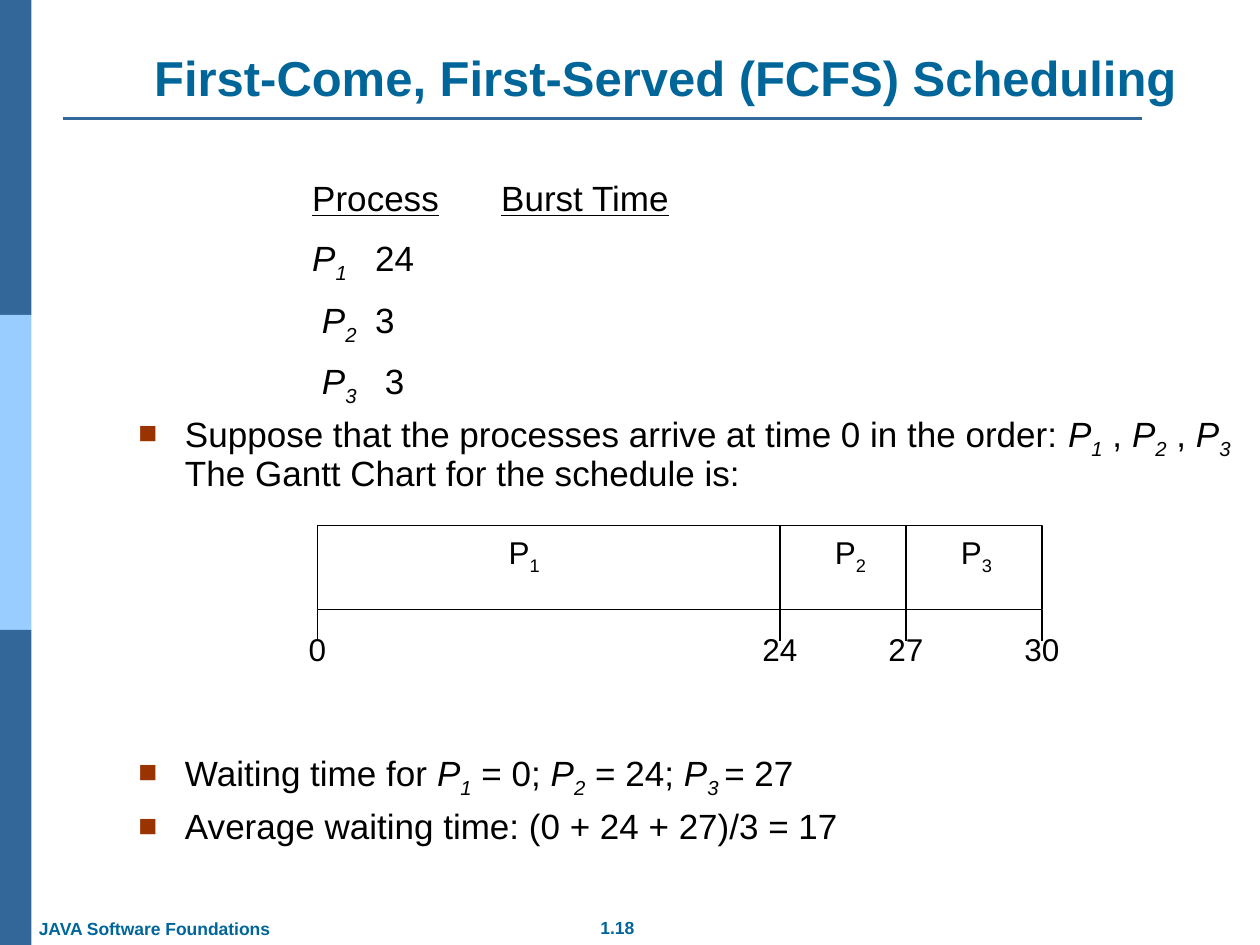
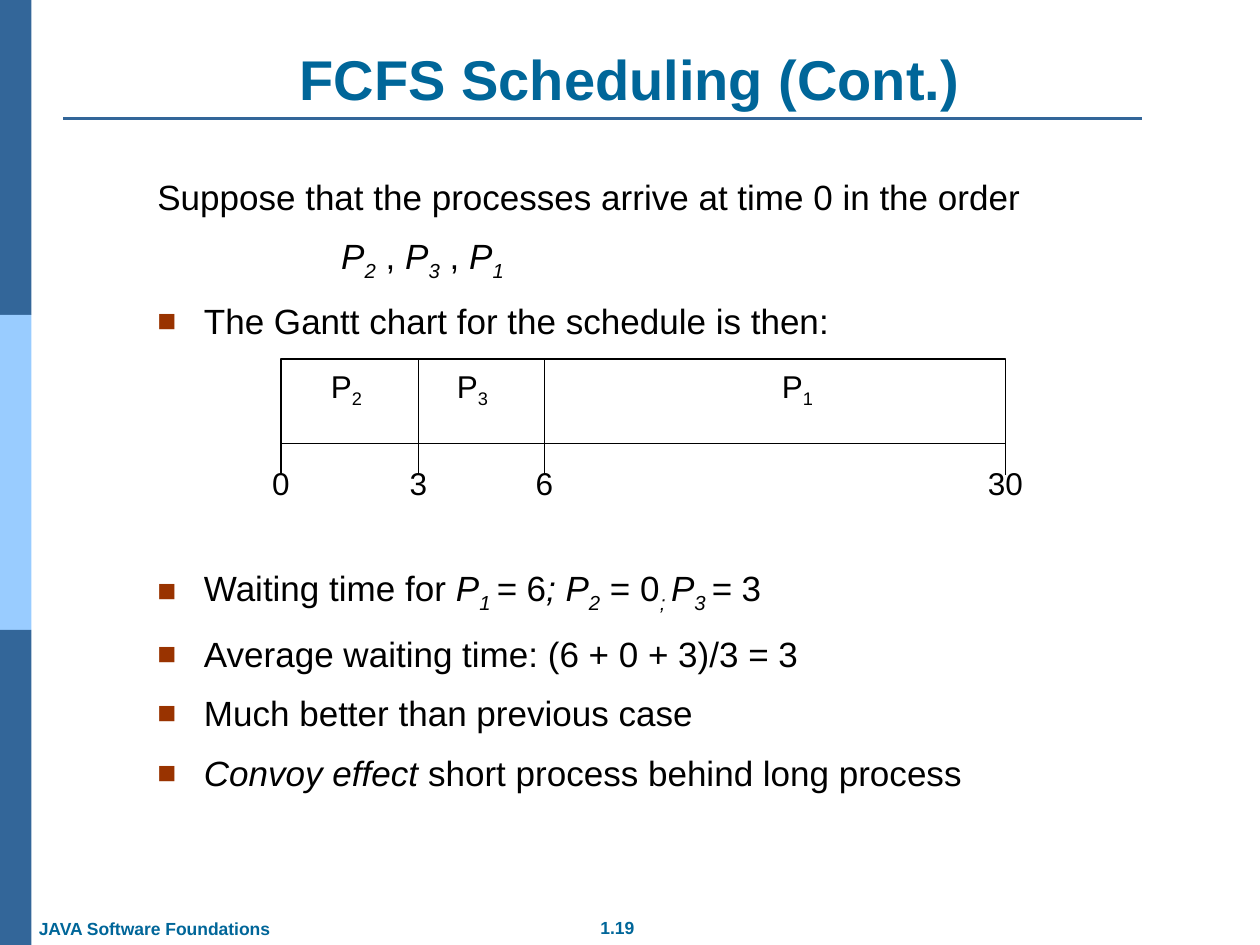
import pptx
import pptx.dml.color
import pptx.enum.shapes
import pptx.enum.text
import pptx.oxml.ns
import pptx.util
from lxml import etree

RGBColor = pptx.dml.color.RGBColor
ALIGN = pptx.enum.text.PP_ALIGN
ANCHOR = pptx.enum.text.MSO_ANCHOR
inch = pptx.util.Inches
pt = pptx.util.Pt
qn = pptx.oxml.ns.qn

BAND_DARK = RGBColor(0x33, 0x66, 0x99)
BAND_LIGHT = RGBColor(0x99, 0xCC, 0xFF)
HEADING = RGBColor(0x00, 0x66, 0x99)
BULLET = RGBColor(0x99, 0x33, 0x00)
BLACK = RGBColor(0, 0, 0)
WHITE = RGBColor(255, 255, 255)

WIDTH, HEIGHT = 10, 7.5
FOOTER = "JAVA Software Foundations"
HANG = 0.37
BAR_H, TICK_H, LABEL_W = 0.67, 0.25, 0.6


def var(n, tail=""):
    """Runs for an italic process name with its subscript."""
    return [("P", "i"), (f"{n}{tail}", "is")]


def text(words, style=""):
    return [(words, style)]


def para(runs, kind="plain", indent=0, tabs=()):
    return dict(runs=runs, kind=kind, indent=indent, tabs=tabs)


# A style is a set of letters: i italic, s subscript, u underline.
SLIDES = [
    dict(
        title="First-Come, First-Served (FCFS) Scheduling", size=28,
        title_at=(0.72, 0.32, 9.12, 0.57), number="1.18",
        line_spacing=0.9,
        blocks=[
            dict(at=(2.38, 1.39, 5, 1.85), before=10.5, paras=[
                para(text("Process", "u") + text("\t") + text("Burst Time", "u"), tabs=[2]),
                para(var(1) + text("\t24"), tabs=[1]),
                para(text(" ") + var(2) + text("\t3"), tabs=[1]),
                para(text(" ") + var(3) + text("\t 3"), tabs=[1]),
            ]),
            dict(at=(1, 3.23, 9, 0.8), before=0, paras=[
                para(text("Suppose that the processes arrive at time 0 in the order: ")
                     + var(1) + text(" , ") + var(2) + text(" , ") + var(3)
                     + text("\vThe Gantt Chart for the schedule is:"), "bullet"),
            ]),
            dict(at=(1, 5.92, 9, 0.95), before=8, paras=[
                para(text("Waiting time for ") + var(1) + text(" = 0; ") + var(2)
                     + text(" = 24; ") + var(3, " ") + text("= 27"), "bullet"),
                para(text("Average waiting time: (0 + 24 + 27)/3 = 17"), "bullet"),
            ]),
        ],
        gantt=dict(left=2.52, top=4.17, edges=[0, 3.67, 4.67, 5.75],
                   times=[0, 24, 27, 30], order=[1, 2, 3],
                   label_at=[1.64, 4.23, 5.23]),
    ),
    dict(
        title="FCFS Scheduling (Cont.)", size=32,
        title_at=(0.5, 0.3, 9, 0.64), number="1.19",
        line_spacing=1,
        blocks=[
            dict(at=(1.15, 1.34, 7.78, 1.45), before=10, paras=[
                para(text("Suppose that the processes arrive at time 0 in the order")),
                para(var(2) + text(" , ") + var(3) + text(" , ") + var(1), indent=1.46),
                para(text("The Gantt chart for the schedule is then:"), "bullet"),
            ]),
            dict(at=(1.15, 4.45, 7.78, 1.84), before=10, paras=[
                para(text("Waiting time for ") + var(1, " ") + text("=", "i") + text(" 6")
                     + text("; ", "i") + var(2) + text(" = 0") + text("; ", "is")
                     + var(3, " ") + text("= ", "i") + text("3"), "bullet"),
                para(text("Average waiting time: (6 + 0 + 3)/3 = 3"), "bullet"),
                para(text("Much better than previous case"), "bullet"),
                para(text("Convoy effect", "i")
                     + text(" short process behind long process"), "bullet"),
            ]),
        ],
        gantt=dict(left=2.23, top=2.85, edges=[0, 1.09, 2.09, 5.75],
                   times=[0, 3, 6, 30], order=[2, 3, 1],
                   label_at=[0.52, 1.52, 4.1]),
    ),
]


def add_rect(s, at, fill, line=None):
    sp = s.shapes.add_shape(pptx.enum.shapes.MSO_SHAPE.RECTANGLE, *map(inch, at))
    sp.shadow.inherit = False
    sp.fill.solid()
    sp.fill.fore_color.rgb = fill
    if line is None:
        sp.line.fill.background()
    else:
        sp.line.color.rgb = line
        sp.line.width = pt(0.75)


def add_line(s, x1, y1, x2, y2, color=BLACK, width=0.75):
    sp = s.shapes.add_connector(pptx.enum.shapes.MSO_CONNECTOR.STRAIGHT,
                                *map(inch, (x1, y1, x2, y2)))
    sp.line.color.rgb = color
    sp.line.width = pt(width)
    etree.SubElement(sp._element.spPr, qn("a:effectLst"))


def add_box(s, at, anchor=ANCHOR.TOP):
    tf = s.shapes.add_textbox(*map(inch, at)).text_frame
    tf.word_wrap = True
    tf.vertical_anchor = anchor
    return tf


def add_runs(p, runs, size, color=BLACK, bold=False):
    for words, style in runs:
        if words.startswith("\v"):
            p.add_line_break()
        r = p.add_run()
        r.text = words.lstrip("\v")
        r.font.name = "Arial"
        r.font.size = pt(size)
        r.font.color.rgb = color
        r.font.bold = bold
        r.font.italic = "i" in style
        r.font.underline = "u" in style
        if "s" in style:
            r.font._element.set("baseline", "-25000")


def add_label(s, at, runs, size, color=BLACK, bold=False,
              align=ALIGN.CENTER, anchor=ANCHOR.MIDDLE):
    p = add_box(s, at, anchor).paragraphs[0]
    p.alignment = align
    add_runs(p, runs, size, color, bold)


def format_paragraph(p, kind, indent, tabs):
    """Set indents, the square bullet and tab stops."""
    pPr = p._p.get_or_add_pPr()
    if kind == "bullet":
        pPr.set("marL", str(inch(HANG)))
        pPr.set("indent", str(-inch(HANG)))
        color = etree.SubElement(pPr, qn("a:buClr"))
        etree.SubElement(color, qn("a:srgbClr"), val=str(BULLET))
        etree.SubElement(pPr, qn("a:buSzPct"), val="90000")
        etree.SubElement(pPr, qn("a:buFont"), typeface="Arial")
        etree.SubElement(pPr, qn("a:buChar"), char="■")
    else:
        pPr.set("marL", str(inch(indent)))
        pPr.set("indent", "0")
        etree.SubElement(pPr, qn("a:buNone"))
    if tabs:
        stops = etree.SubElement(pPr, qn("a:tabLst"))
        for stop in tabs:
            etree.SubElement(stops, qn("a:tab"), pos=str(inch(stop)), algn="l")


def add_block(s, at, before, paras, line_spacing):
    tf = add_box(s, at)
    for i, item in enumerate(paras):
        p = tf.add_paragraph() if i else tf.paragraphs[0]
        format_paragraph(p, item["kind"], item["indent"], item["tabs"])
        p.line_spacing = line_spacing
        p.space_before = pt(before if i else 0)
        add_runs(p, item["runs"], 20)


def add_gantt(s, left, top, edges, times, order, label_at):
    bottom = top + BAR_H
    add_rect(s, (left, top, edges[-1], BAR_H), WHITE, BLACK)
    for n, x in zip(order, label_at):
        add_label(s, (left + x - LABEL_W / 2, top - 0.14, LABEL_W, 0.74),
                  [("P", ""), (str(n), "s")], 18)
    for edge in edges[1:-1]:
        add_line(s, left + edge, top, left + edge, bottom)
    for edge, time in zip(edges, times):
        x = left + edge
        add_line(s, x, bottom, x, bottom + TICK_H)
        add_label(s, (x - LABEL_W / 2, top + 0.78, LABEL_W, 0.4), text(str(time)), 18)


def add_frame(s, number):
    """Side bands, title rule and footers."""
    band_h = HEIGHT / 3
    for i, color in enumerate((BAND_DARK, BAND_LIGHT, BAND_DARK)):
        add_rect(s, (0, i * band_h, WIDTH / 40, band_h), color)
    add_line(s, 0.5, 0.94, 9.06, 0.94, BAND_DARK, 1.5)
    add_label(s, (4.41, 7.23, 0.98, 0.27), text(number), 10, HEADING, True,
              anchor=ANCHOR.TOP)
    add_label(s, (0.21, 7.24, 2.06, 0.27), text(FOOTER), 10, HEADING, True,
              ALIGN.LEFT, ANCHOR.TOP)


def main():
    prs = pptx.Presentation()
    prs.slide_width, prs.slide_height = inch(WIDTH), inch(HEIGHT)
    for content in SLIDES:
        s = prs.slides.add_slide(prs.slide_layouts[6])
        add_frame(s, content["number"])
        add_label(s, content["title_at"], text(content["title"]), content["size"],
                  HEADING, True, anchor=ANCHOR.BOTTOM)
        for block in content["blocks"]:
            add_block(s, line_spacing=content["line_spacing"], **block)
        add_gantt(s, **content["gantt"])
    prs.save("out.pptx")


if __name__ == "__main__":
    main()
